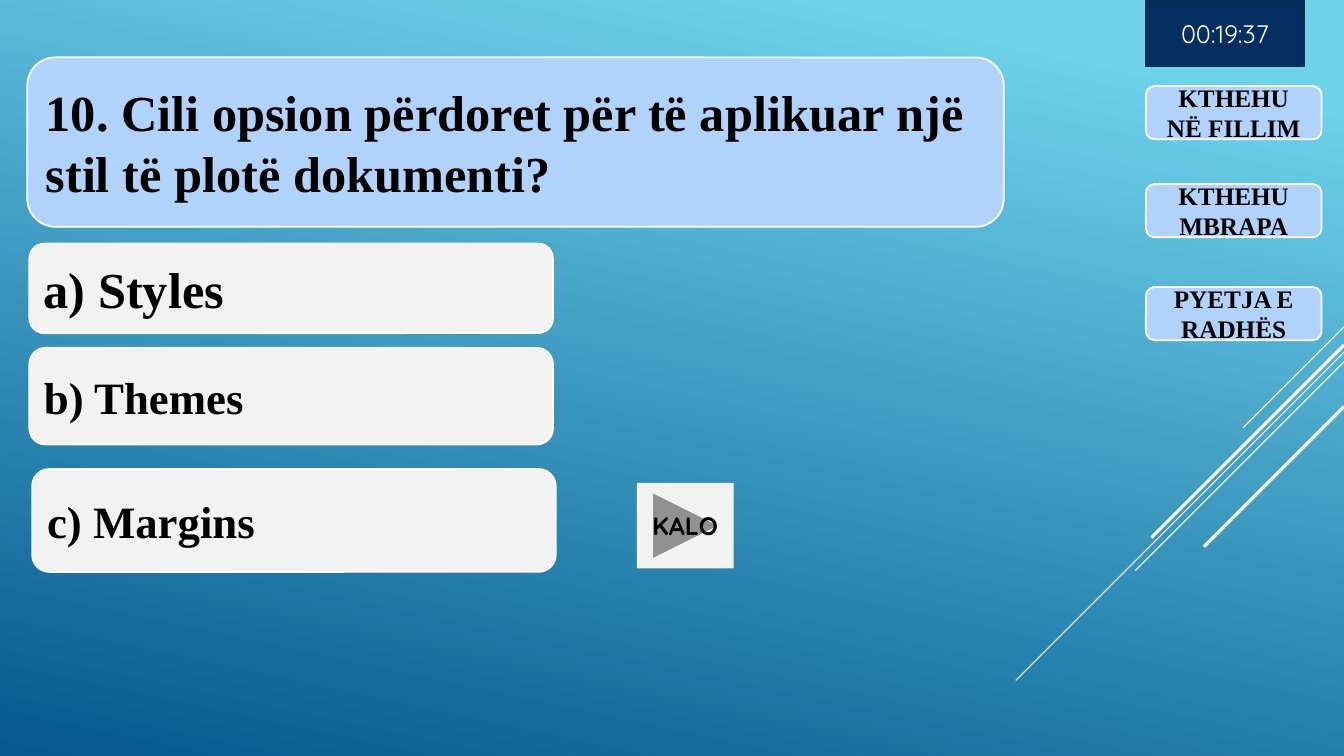
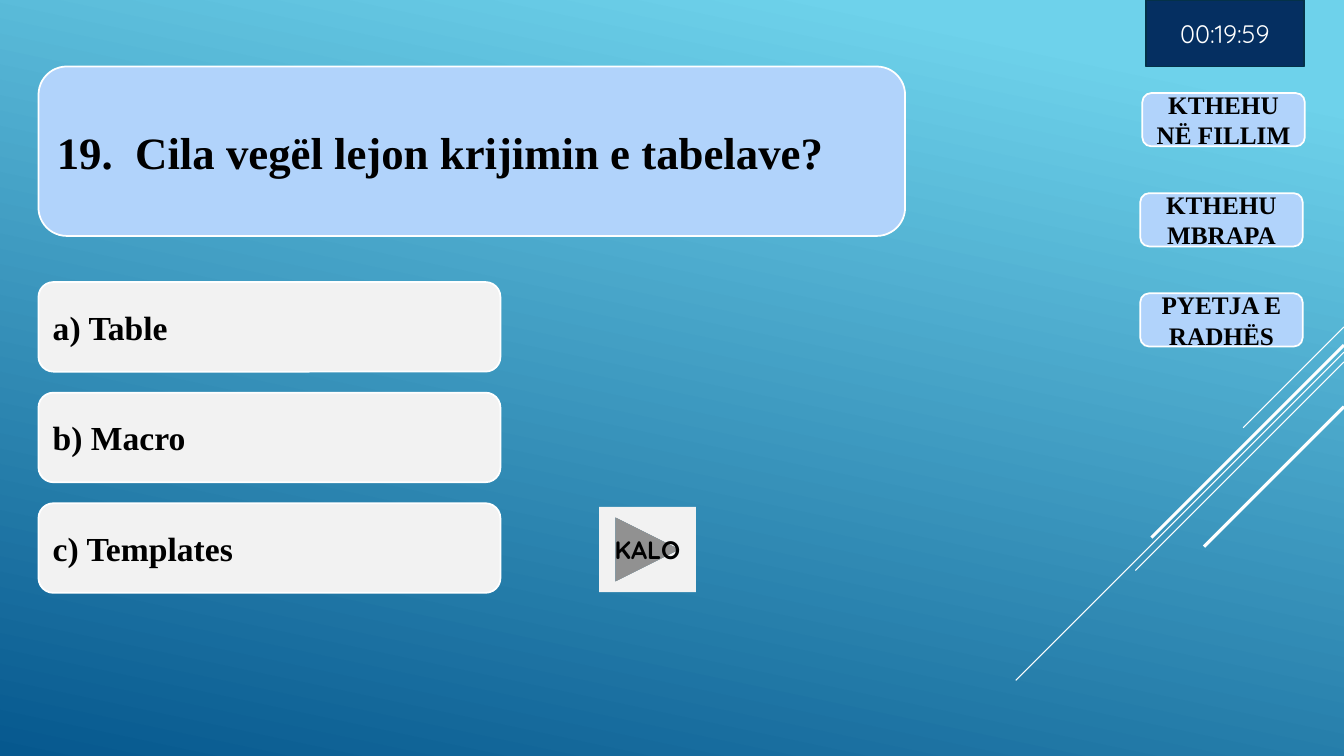
from dataclasses import dataclass
from typing import Optional

from lxml.etree import SubElement
from pptx import Presentation
from pptx.dml.color import RGBColor
from pptx.enum.shapes import MSO_CONNECTOR, MSO_SHAPE
from pptx.enum.text import MSO_ANCHOR, MSO_AUTO_SIZE, PP_ALIGN
from pptx.oxml.ns import qn
from pptx.shapes.base import BaseShape
from pptx.slide import Slide, SlideMaster
from pptx.text.text import TextFrame
from pptx.util import Pt

COLORS = {
    "sky": "6ED2EB",
    "deep": "06588E",
    "panel": "B1D3FB",
    "answer": "F2F2F2",
    "timer": "052F61",
    "timer_border": "043148",
    "light": "FFFFFF",
    "text": "000000",
}
SERIF = "Times New Roman"
ROUNDED = "Quicksand"
SLIDE_WIDTH, SLIDE_HEIGHT = 960, 540
BORDER_WIDTH = 1.25
PANEL_INSET = 13.1
TITLE_ONLY = 5


@dataclass(frozen=True)
class Box:
    left: float
    top: float
    width: float
    height: float


@dataclass(frozen=True)
class TextStyle:
    size: float
    font: str = SERIF
    color: str = "text"
    bold: bool = True
    alignment: PP_ALIGN = PP_ALIGN.CENTER


@dataclass(frozen=True)
class Label:
    text: str
    box: Box
    size: float = 18


@dataclass(frozen=True)
class Diagonal:
    top: float
    run: float
    weight: float


@dataclass(frozen=True)
class Question:
    title: Label
    answers: list[Label]
    buttons: list[Label]
    skip: Box
    time: str


DIAGONALS = [
    Diagonal(233.5, 72, 0.75),
    Diagonal(251.5, 234.5, 0.75),
    Diagonal(258.5, 149, 0.75),
    Diagonal(246.5, 137.5, 2.25),
    Diagonal(290.5, 100, 2.25),
]
TIMER_BOX = Box(818.5, 0, 113, 47.5)
CAPTION = TextStyle(18)
SKIP_STYLE = TextStyle(18, ROUNDED)
TIMER_STYLE = TextStyle(18, ROUNDED, "light", False)
BUTTON_TEXTS = ["KTHEHU NË FILLIM", "KTHEHU MBRAPA", "PYETJA E RADHËS"]


def button_labels(lefts: list[float], tops: list[float], width: float) -> list[Label]:
    return [
        Label(text, Box(left, top, width, 38))
        for text, left, top in zip(BUTTON_TEXTS, lefts, tops)
    ]


QUESTIONS = [
    Question(
        Label(
            "10. Cili opsion përdoret për të aplikuar një stil të plotë dokumenti?",
            Box(19.5, 41, 697.5, 121),
            36,
        ),
        [
            Label("a) Styles", Box(21, 174, 374, 64), 36),
            Label("b) Themes", Box(21, 248.5, 374, 69), 32),
            Label("c) Margins", Box(23, 335, 374, 73.5), 32),
        ],
        button_labels([818.5] * 3, [61.5, 131.5, 205], 125.5),
        Box(455, 345, 69, 61),
        "00:19:37",
    ),
    Question(
        Label(
            "19.  Cila vegël lejon krijimin e tabelave?",
            Box(27.5, 47.5, 619, 121),
            32,
        ),
        [
            Label(text, Box(27.5, 201.5 + 79 * row, 330, 64), 24)
            for row, text in enumerate(["a) Table", "b) Macro", "c) Templates"])
        ],
        button_labels(
            [816, 814.5, 814.5], [66.5 + 71.5 * row for row in range(3)], 116
        ),
        Box(428, 362, 69, 61),
        "00:19:59",
    ),
]


def color(name: str) -> RGBColor:
    return RGBColor.from_string(COLORS[name])


def place(shape: BaseShape, box: Box) -> None:
    shape.left, shape.top = Pt(box.left), Pt(box.top)
    shape.width, shape.height = Pt(box.width), Pt(box.height)


def write(frame: TextFrame, text: str, style: TextStyle) -> None:
    frame.text = text
    frame.word_wrap = True
    frame.auto_size = MSO_AUTO_SIZE.NONE
    frame.vertical_anchor = MSO_ANCHOR.MIDDLE
    paragraph = frame.paragraphs[0]
    paragraph.alignment = style.alignment
    for run in paragraph.runs:
        run.font.name = style.font
        run.font.size = Pt(style.size)
        run.font.bold = style.bold
        run.font.color.rgb = color(style.color)


def add_block(
    slide: Slide,
    kind: MSO_SHAPE,
    box: Box,
    fill: str,
    border: Optional[str] = "light",
    text: str = "",
    style: TextStyle = CAPTION,
) -> BaseShape:
    shape = slide.shapes.add_shape(kind, 0, 0, 0, 0)
    place(shape, box)
    shape.shadow.inherit = False
    shape.fill.solid()
    shape.fill.fore_color.rgb = color(fill)
    if border:
        shape.line.color.rgb = color(border)
        shape.line.width = Pt(BORDER_WIDTH)
    else:
        shape.line.fill.background()
    if text:
        write(shape.text_frame, text, style)
    return shape


def paint_background(master: SlideMaster) -> None:
    fill = master.background.fill
    fill.gradient()
    fill.gradient_angle = 258
    for stop, position, name in zip(fill.gradient_stops, (0.1, 1), ("sky", "deep")):
        stop.position = position
        stop.color.rgb = color(name)


def add_diagonal(slide: Slide, diagonal: Diagonal) -> None:
    connector = slide.shapes.add_connector(
        MSO_CONNECTOR.STRAIGHT,
        Pt(SLIDE_WIDTH),
        Pt(diagonal.top),
        Pt(SLIDE_WIDTH - diagonal.run),
        Pt(diagonal.top + diagonal.run),
    )
    connector.line.color.rgb = color("light")
    connector.line.width = Pt(diagonal.weight)
    SubElement(connector._element.spPr, qn("a:effectLst"))


def add_title(slide: Slide, label: Label) -> None:
    panel = add_block(slide, MSO_SHAPE.ROUNDED_RECTANGLE, label.box, "panel")
    title = slide.shapes.title
    title._element.addprevious(panel._element)
    place(title, label.box)
    write(title.text_frame, label.text, TextStyle(label.size, alignment=PP_ALIGN.LEFT))
    title.text_frame.margin_left = title.text_frame.margin_right = Pt(PANEL_INSET)


def add_question(presentation: Presentation, question: Question) -> None:
    slide = presentation.slides.add_slide(presentation.slide_layouts[TITLE_ONLY])
    for diagonal in DIAGONALS:
        add_diagonal(slide, diagonal)
    add_title(slide, question.title)
    for answer in question.answers:
        style = TextStyle(answer.size, alignment=PP_ALIGN.LEFT)
        add_block(
            slide, MSO_SHAPE.ROUNDED_RECTANGLE, answer.box, "answer",
            text=answer.text, style=style,
        )
    for button in question.buttons:
        add_block(
            slide, MSO_SHAPE.ROUNDED_RECTANGLE, button.box, "panel", text=button.text
        )
    add_block(
        slide, MSO_SHAPE.ACTION_BUTTON_FORWARD_OR_NEXT, question.skip, "answer",
        None, "KALO", SKIP_STYLE,
    )
    add_block(
        slide, MSO_SHAPE.RECTANGLE, TIMER_BOX, "timer", "timer_border",
        question.time, TIMER_STYLE,
    )


def main() -> None:
    presentation = Presentation()
    presentation.slide_width = Pt(SLIDE_WIDTH)
    presentation.slide_height = Pt(SLIDE_HEIGHT)
    paint_background(presentation.slide_master)
    for question in QUESTIONS:
        add_question(presentation, question)
    presentation.save("out.pptx")


if __name__ == "__main__":
    main()
